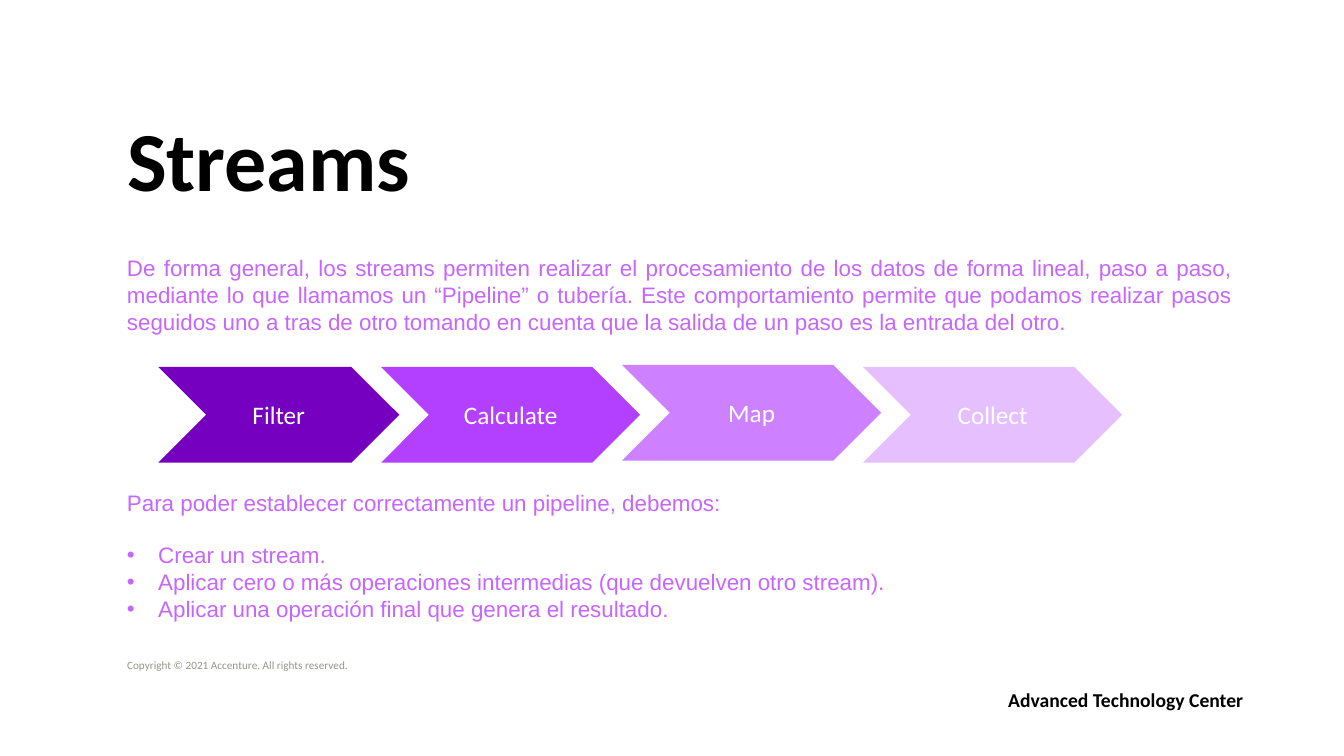
from dataclasses import dataclass

from lxml.etree import SubElement
from pptx import Presentation
from pptx.dml.color import RGBColor
from pptx.enum.shapes import MSO_SHAPE as Preset
from pptx.enum.text import MSO_ANCHOR as Anchor, PP_ALIGN as Align
from pptx.oxml.ns import qn
from pptx.util import Emu, Pt

PX = 9144  # 100 px to the inch


@dataclass(frozen=True)
class Theme:
    heading_font: str = "Calibri"
    body_font: str = "Arial"
    black: str = "000000"
    white: str = "FFFFFF"
    gray: str = "96968C"
    body: str = "C766FF"
    steps: tuple = ("7500C0", "B440FF", "CD80FF", "E6BFFF")
    title_size: int = 60
    step_size: int = 18
    body_size: int = 16
    brand_size: int = 14
    copyright_size: int = 8
    blank_line: float = 18.4


THEME = Theme()


def px(value):
    return Emu(value * PX)


def style(paragraph, font_name, size, color, bold=False):
    for run in paragraph.runs:
        run.font.name = font_name
        run.font.size = Pt(size)
        run.font.bold = bold
        run.font.color.rgb = RGBColor.from_string(color)


def add_text(slide, box, lines, font_name, size, color, bold=False,
             anchor=Anchor.TOP, align=Align.LEFT, top_inset=0):
    frame = slide.shapes.add_textbox(*map(px, box)).text_frame
    frame.word_wrap = True
    frame.vertical_anchor = anchor
    frame.margin_left = frame.margin_right = frame.margin_bottom = 0
    frame.margin_top = px(top_inset)
    frame.text = "\n".join(lines)
    for paragraph in frame.paragraphs:
        paragraph.alignment = align
        style(paragraph, font_name, size, color, bold)
    return frame.paragraphs


def add_bullet(paragraph, indent):
    properties = paragraph._p.get_or_add_pPr()
    properties.set("marL", str(px(indent)))
    properties.set("indent", str(-px(indent)))
    SubElement(properties, qn("a:buFont"), typeface=THEME.body_font)
    SubElement(properties, qn("a:buChar"), char="•")


def add_title(slide, box, text):
    title, = add_text(slide, box, [text], THEME.heading_font, THEME.title_size,
                      THEME.black, bold=True, anchor=Anchor.BOTTOM)
    title.line_spacing = 0.9


def add_body(slide, box, intro, bullets=()):
    paragraphs = add_text(slide, box, [intro, *bullets], THEME.body_font,
                          THEME.body_size, THEME.body, anchor=Anchor.MIDDLE,
                          align=Align.JUSTIFY, top_inset=3)
    for index, paragraph in enumerate(paragraphs[1:]):
        if index == 0:
            paragraph.space_before = Pt(THEME.blank_line)
        add_bullet(paragraph, 31)


def add_pipeline(slide, box, steps, overlap=18):
    """Lay out (label, width, upward shift) chevrons from left to right."""
    left, top, height = box
    for (label, width, lift), color in zip(steps, THEME.steps):
        chevron = slide.shapes.add_shape(
            Preset.CHEVRON, px(left), px(top - lift), px(width), px(height))
        chevron.shadow.inherit = False
        chevron.fill.solid()
        chevron.fill.fore_color.rgb = RGBColor.from_string(color)
        chevron.line.fill.background()
        frame = chevron.text_frame
        frame.margin_left = frame.margin_right = px(10)
        frame.margin_top = frame.margin_bottom = px(10)
        frame.vertical_anchor = Anchor.MIDDLE
        frame.text = label
        paragraph = frame.paragraphs[0]
        paragraph.alignment = Align.CENTER
        style(paragraph, THEME.heading_font, THEME.step_size, THEME.white)
        left += width - overlap


def add_footer(slide, copyright_box, brand_box):
    add_text(slide, copyright_box,
             ["Copyright © 2021 Accenture. All rights reserved."],
             THEME.heading_font, THEME.copyright_size, THEME.gray,
             anchor=Anchor.BOTTOM)
    add_text(slide, brand_box, ["Advanced Technology Center"],
             THEME.heading_font, THEME.brand_size, THEME.black, bold=True)


def build_streams_slide(presentation):
    slide = presentation.slides.add_slide(presentation.slide_layouts[6])
    margin, body_width = 126, 1096

    # Footer and title
    add_footer(slide, (margin, 653, 339, 13), (1000, 682, 313, 27))
    add_title(slide, (margin, 20, 875, 188), "Streams")

    # Introduction
    add_body(slide, (margin, 243, body_width, 95),
             "De forma general, los streams permiten realizar el procesamiento "
             "de los datos de forma lineal, paso a paso, mediante lo que "
             "llamamos un “Pipeline” o tubería. Este comportamiento permite "
             "que podamos realizar pasos seguidos uno a tras de otro tomando "
             "en cuenta que la salida de un paso es la entrada del otro.")

    # Pipeline
    add_pipeline(slide, (157, 364, 95), [
        ("Filter", 239, 0),
        ("Calculate", 257, 0),
        ("Map", 257, 2),
        ("Collect", 257, 0),
    ])

    # Steps to set up a pipeline
    add_body(slide, (margin, 462, body_width, 175),
             "Para poder establecer correctamente un pipeline, debemos:",
             ["Crear un stream.",
              "Aplicar cero o más operaciones intermedias (que devuelven otro stream).",
              "Aplicar una operación final que genera el resultado."])


def main():
    presentation = Presentation()
    presentation.slide_width = px(1333)
    presentation.slide_height = px(750)
    build_streams_slide(presentation)
    presentation.save("out.pptx")


if __name__ == "__main__":
    main()
